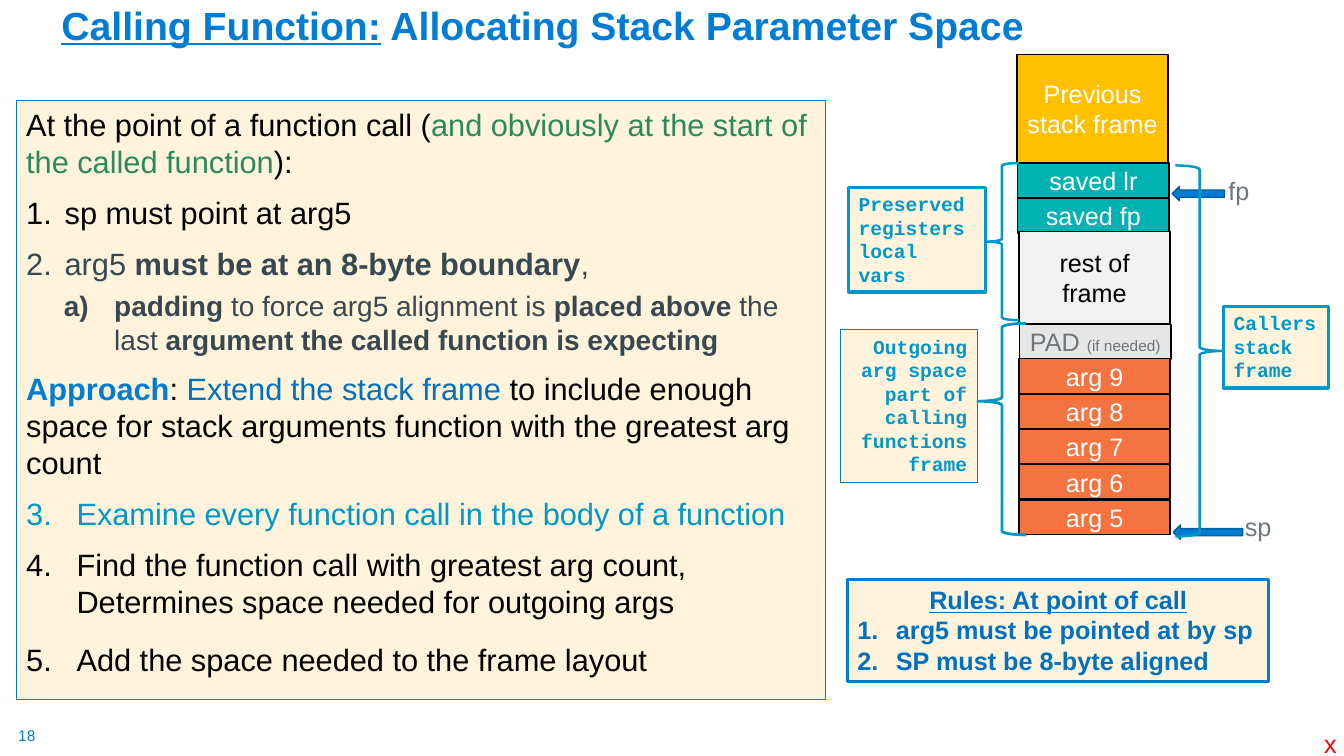
from lxml.etree import SubElement
from pptx import Presentation
from pptx.dml.color import RGBColor
from pptx.enum.shapes import MSO_SHAPE as Shape
from pptx.enum.text import MSO_ANCHOR as Anchor, PP_ALIGN as Align
from pptx.oxml.ns import qn
from pptx.util import Cm, Pt

BLUE = RGBColor(0x00, 0x7C, 0xD5)
LINK_BLUE = RGBColor(0x00, 0x70, 0xC0)
ARROW_EDGE = RGBColor(0x00, 0x5C, 0x9E)
CYAN = RGBColor(0x00, 0x98, 0xC9)
CREAM = RGBColor(0xFF, 0xF4, 0xDB)
GREEN = RGBColor(0x2C, 0x89, 0x5B)
SLATE = RGBColor(0x38, 0x48, 0x51)
GRAY = RGBColor(0x6B, 0x76, 0x7D)
ORANGE = RGBColor(0xF3, 0x74, 0x40)
TEAL = RGBColor(0x00, 0xB2, 0xB1)
GOLD = RGBColor(0xFF, 0xC0, 0x00)
PALE = RGBColor(0xF2, 0xF2, 0xF2)
PAD_GRAY = RGBColor(0xE7, 0xE6, 0xE6)
BLACK = RGBColor(0x00, 0x00, 0x00)
WHITE = RGBColor(0xFF, 0xFF, 0xFF)
RED = RGBColor(0xFF, 0x00, 0x00)

BOLD = {"bold": True}


def write(frame, *pieces, size=18, color=BLACK, bold=False, underline=False, font="Arial",
          align=Align.LEFT, before=0, spacing=1.0, level=0, indent=0, number=None, start=1):
    """Write one paragraph whose pieces are strings or (string, overrides) pairs."""
    first = frame.paragraphs[0]
    paragraph = frame.add_paragraph() if first.runs else first
    paragraph.alignment, paragraph.level = align, level
    paragraph.space_before, paragraph.line_spacing = Pt(before), spacing
    if number:
        properties = paragraph._p.get_or_add_pPr()
        hanging = Cm(1.27) if level else Cm(indent)
        properties.set("marL", str(Cm(indent)))
        properties.set("indent", str(-hanging))
        SubElement(properties, qn("a:buFont"), typeface="+mj-lt")
        SubElement(properties, qn("a:buAutoNum"), type=number, startAt=str(start))
    base = {"size": size, "color": color, "bold": bold, "underline": underline}
    for piece in pieces:
        words, changes = (piece, {}) if isinstance(piece, str) else piece
        look = {**base, **changes}
        run = paragraph.add_run()
        run.text = words
        run.font.name, run.font.size = font, Pt(look["size"])
        run.font.bold, run.font.underline = look["bold"], look["underline"]
        run.font.color.rgb = look["color"]


def draw(slide, kind, box, fill, edge, weight, anchor=Anchor.TOP):
    """Draw a preset shape in the box and return it."""
    shape = slide.shapes.add_shape(kind, *map(Cm, box))
    shape.shadow.inherit = False
    if fill is None:
        shape.fill.background()
    else:
        shape.fill.solid()
        shape.fill.fore_color.rgb = fill
    shape.line.color.rgb = edge
    shape.line.width = Pt(weight)
    shape.text_frame.vertical_anchor = anchor
    shape.text_frame.word_wrap = True
    return shape


def label(slide, box, *pieces, wrap=False, anchor=Anchor.TOP, margin=None, **look):
    """Place free-standing text in the box."""
    frame = slide.shapes.add_textbox(*map(Cm, box)).text_frame
    frame.word_wrap, frame.vertical_anchor = wrap, anchor
    if margin is not None:
        frame.margin_left = frame.margin_right = Cm(margin)
        frame.margin_top = frame.margin_bottom = Cm(margin)
    write(frame, *pieces, **look)


def instructions(slide, box):
    """Write the panel of requirements and steps."""
    frame = draw(slide, Shape.RECTANGLE, box, CREAM, BLUE, 0.75).text_frame
    body = {"size": 22, "before": 10}
    rule = {**body, "number": "arabicPeriod", "indent": 0.97}
    step = {**body, "number": "arabicPeriod", "indent": 1.27, "start": 3}
    write(frame, "At the point of a function call (",
          ("and obviously at the start of the called function", {"color": GREEN}), "):", **body)
    write(frame, "sp must point at arg5", **rule)
    write(frame, "arg5 ", ("must be at an 8-byte boundary", BOLD), ",", color=SLATE, **rule)
    write(frame, ("padding", BOLD), " to force arg5 alignment is ", ("placed above", BOLD),
          " the last ", ("argument the called function is expecting", BOLD),
          size=20, color=SLATE, before=5, level=1, indent=2.22, number="alphaLcParenR")
    write(frame, ("Approach", {"color": BLUE, "bold": True}), ": ",
          ("Extend the stack frame ", {"color": LINK_BLUE}),
          "to include enough space for stack arguments function with the greatest arg count",
          **body)
    write(frame, "Examine every function call in the body of a function", color=CYAN, **step)
    write(frame, "Find the function call with greatest arg count, "
                 "Determines space needed for outgoing args", **step)
    write(frame, "Add the space needed to the frame layout", spacing=1.2, **step)


def stack(slide, box):
    """Draw the stack cells from the previous frame down to arg 5."""
    left, top, width, _ = box
    slot, pitch = 0.87, 0.89
    cells = [
        (0, 0, 2.72, GOLD, WHITE, ["Previous stack frame"]),
        (0.02, 2.74, slot, TEAL, WHITE, ["saved lr"]),
        (0.02, 2.74 + pitch, slot, TEAL, WHITE, ["saved fp"]),
        (0.05, 4.47, 2.31, PALE, BLACK, ["rest of frame"]),
        (0.07, 6.81, slot, PAD_GRAY, GRAY, ["PAD ", ("(if needed)", {"size": 11})]),
    ]
    cells += [(0.05, 7.67 + pitch * row, slot, ORANGE, WHITE, [f"arg {9 - row}"])
              for row in range(5)]
    for shift, drop, height, fill, ink, pieces in cells:
        cell = draw(slide, Shape.RECTANGLE, (left + shift, top + drop, width, height),
                    fill, BLACK, 1, Anchor.MIDDLE)
        write(cell.text_frame, *pieces, color=ink, align=Align.CENTER)


def pointer(slide, box, register, name_left, name_top):
    """Draw an arrow to the stack with its register name beside it."""
    left, top, _, _ = box
    draw(slide, Shape.LEFT_ARROW, box, BLUE, ARROW_EDGE, 1)
    label(slide, (left + name_left, top + name_top, 1.2, 1.02), register, color=GRAY)


def caption(slide, box, lines, edge, weight, align=Align.LEFT):
    """Draw a code-font caption panel."""
    frame = draw(slide, Shape.RECTANGLE, box, CREAM, edge, weight).text_frame
    for line in lines:
        write(frame, line, size=14, color=CYAN, bold=True, font="Courier New", align=align)


def brace(slide, kind, box, weight=1.75, tip=0.5):
    """Draw a brace with its tip at the given share of its height."""
    shape = draw(slide, kind, box, None, CYAN, weight)
    shape.adjustments[0] = 0.083
    shape.adjustments[1] = tip


def call_rules(slide, box):
    """Write the panel of rules at the point of call."""
    frame = draw(slide, Shape.RECTANGLE, box, CREAM, BLUE, 2.25).text_frame
    look = {"color": LINK_BLUE, "bold": True}
    write(frame, "Rules: At point of call", underline=True, align=Align.CENTER, **look)
    for rule in ("arg5 must be pointed at by sp", "SP must be 8-byte aligned"):
        write(frame, rule, number="arabicPeriod", indent=0.97, **look)


def main():
    """Build the slide and save it."""
    deck = Presentation()
    deck.slide_width, deck.slide_height = Cm(33.87), Cm(19.05)
    slide = deck.slides.add_slide(deck.slide_layouts[6])
    label(slide, (0.46, 18.31, 0.48, 0.48), "18", size=11, color=BLUE, margin=0)
    label(slide, (1.3, 0.08, 31.27, 1.27), ("Calling Function:", {"underline": True}),
          " Allocating Stack Parameter Space", wrap=True, anchor=Anchor.BOTTOM,
          size=28, color=BLUE, bold=True, spacing=0.9)
    instructions(slide, (0.41, 2.54, 20.4, 15.09))
    stack(slide, (25.63, 1.37, 3.81, 12.1))
    pointer(slide, (29.54, 4.7, 1.32, 0.36), "fp", 1.17, -0.41)
    pointer(slide, (29.57, 13.23, 1.75, 0.36), "sp", 1.55, -0.48)
    caption(slide, (21.39, 4.72, 3.45, 2.64), ["Preserved registers", "local vars"], CYAN, 2.25)
    brace(slide, Shape.LEFT_BRACE, (24.82, 4.11, 0.86, 3.96))
    caption(slide, (21.18, 8.31, 3.45, 3.84),
            ["Outgoing arg space part of calling functions frame"], BLUE, 0.75, Align.RIGHT)
    brace(slide, Shape.LEFT_BRACE, (24.64, 8.15, 1.22, 5.33), 2, 0.368)
    caption(slide, (30.84, 7.72, 2.64, 2.06), ["Callers stack frame"], CYAN, 2.25)
    brace(slide, Shape.RIGHT_BRACE, (29.62, 4.17, 1.22, 9.35))
    call_rules(slide, (21.36, 14.6, 10.62, 2.57))
    label(slide, (33.12, 18.24, 0.75, 0.81), "x", color=RED)
    deck.save("out.pptx")


if __name__ == "__main__":
    main()
